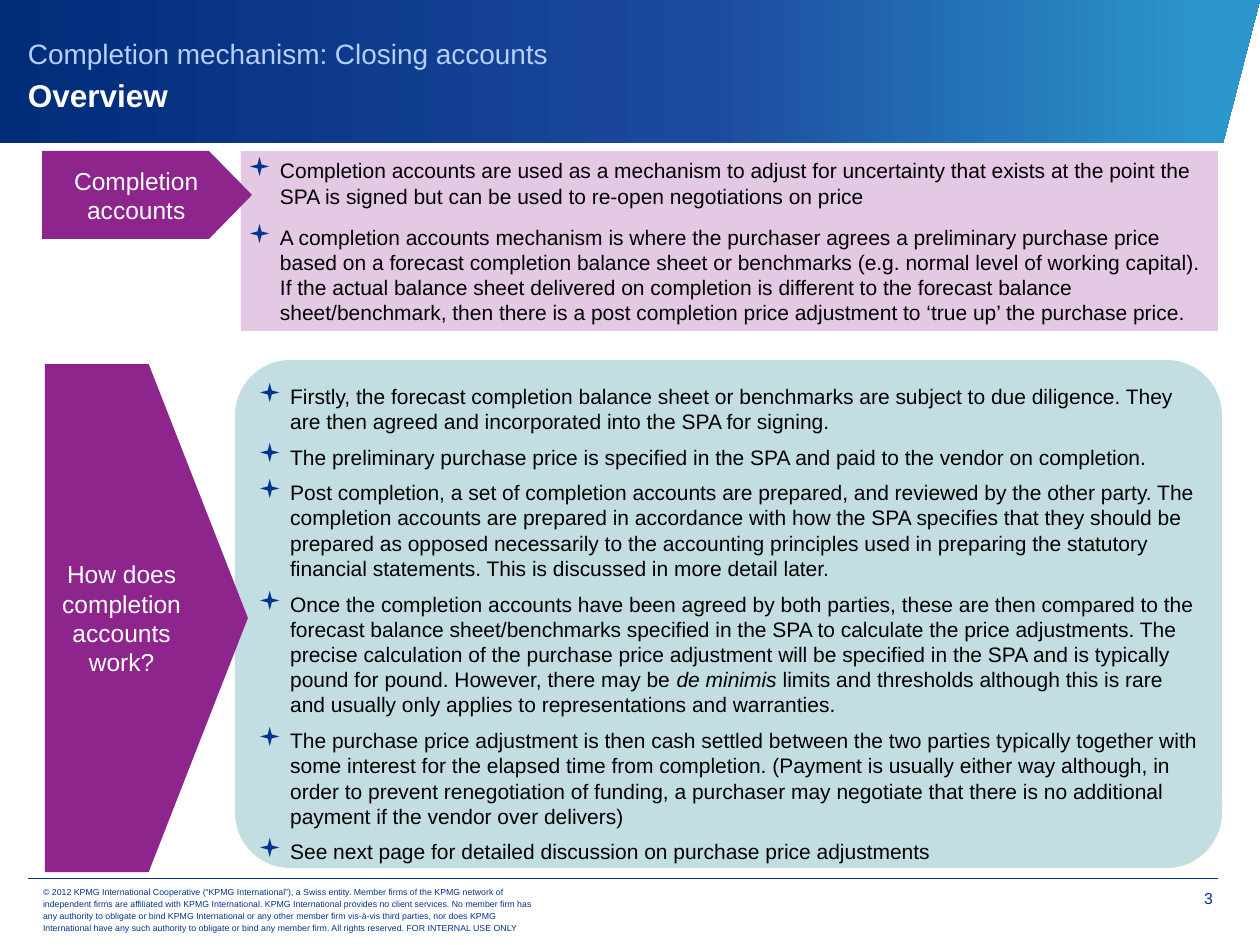
from lxml import etree
from pptx import Presentation
from pptx.dml.color import RGBColor
from pptx.enum.shapes import MSO_CONNECTOR, MSO_SHAPE
from pptx.enum.text import MSO_ANCHOR, MSO_AUTO_SIZE, PP_ALIGN
from pptx.oxml.ns import qn
from pptx.util import Pt

PX = 914400 / 126
RECT, ROUND, ARROW = MSO_SHAPE.RECTANGLE, MSO_SHAPE.ROUNDED_RECTANGLE, MSO_SHAPE.PENTAGON
LEFT, CENTER, RIGHT = PP_ALIGN.LEFT, PP_ALIGN.CENTER, PP_ALIGN.RIGHT
TOP, MIDDLE = MSO_ANCHOR.TOP, MSO_ANCHOR.MIDDLE
NAVY, PURPLE, PINK, TEAL = "00338D", "8E258D", "E3C9E3", "C3DEE2"
WHITE, BLACK, SKY = "FFFFFF", "000000", "B5D0FF"
BAND_STOPS = [(0, "002C7A"), (56, "1C4A9E"), (96, "2B96CB")]

ACCOUNTS = [
    "Completion accounts are used as a mechanism to adjust for uncertainty that exists at the point the SPA is signed but can be used to re-open negotiations on price",
    "A completion accounts mechanism is where the purchaser agrees a preliminary purchase price based on a forecast completion balance sheet or benchmarks (e.g. normal level of working capital). If the actual balance sheet delivered on completion is different to the forecast balance sheet/benchmark, then there is a post completion price adjustment to ‘true up’ the purchase price.",
]
STEPS = [
    "Firstly, the forecast completion balance sheet or benchmarks are subject to due diligence. They are then agreed and incorporated into the SPA for signing.",
    "The preliminary purchase price is specified in the SPA and paid to the vendor on completion.",
    "Post completion, a set of completion accounts are prepared, and reviewed by the other party. The completion accounts are prepared in accordance with how the SPA specifies that they should be prepared as opposed necessarily to the accounting principles used in preparing the statutory financial statements. This is discussed in more detail later.",
    [("Once the completion accounts have been agreed by both parties, these are then compared to the forecast balance sheet/benchmarks specified in the SPA to calculate the price adjustments. The precise calculation of the purchase price adjustment will be specified in the SPA and is typically pound for pound. However, there may be ", {}),
     ("de minimis", {"italic": True}),
     (" limits and thresholds although this is rare and usually only applies to representations and warranties.", {})],
    "The purchase price adjustment is then cash settled between the two parties typically together with some interest for the elapsed time from completion. (Payment is usually either way although, in order to prevent renegotiation of funding, a purchaser may negotiate that there is no additional payment if the vendor over delivers)",
    "See next page for detailed discussion on purchase price adjustments",
]
COPYRIGHT = "© 2012 KPMG International Cooperative (“KPMG International”), a Swiss entity. Member firms of the KPMG network of independent firms are affiliated with KPMG International. KPMG International provides no client services. No member firm has any authority to obligate or bind KPMG International or any other member firm vis-à-vis third parties, nor does KPMG International have any such authority to obligate or bind any member firm. All rights reserved. FOR INTERNAL USE ONLY"


def px(*values):
    return [round(v * PX) for v in values]


def rgb(color):
    return RGBColor.from_string(color)


def style_run(r, size=12, color=BLACK, bold=False, italic=False):
    r.font.name = "Arial"
    r.font.size = Pt(size)
    r.font.color.rgb = rgb(color)
    r.font.bold = bold
    r.font.italic = italic


def add_bullet(p):
    pPr = p._p.get_or_add_pPr()
    indent = px(32)[0]
    pPr.set("marL", str(indent))
    pPr.set("indent", str(-indent))
    etree.SubElement(etree.SubElement(pPr, qn("a:buClr")), qn("a:srgbClr"), val=NAVY)
    etree.SubElement(pPr, qn("a:buSzPct"), val="125000")
    etree.SubElement(pPr, qn("a:buFont"), typeface="Wingdings")
    etree.SubElement(pPr, qn("a:buChar"), char="▪")


def write(tf, paragraphs, align=LEFT, anchor=TOP, inset=(7, 7, 7, 7), spacing=1.0,
          before=0, after=0, bullet=False, **font):
    tf.word_wrap = True
    tf.auto_size = MSO_AUTO_SIZE.NONE
    tf.vertical_anchor = anchor
    tf.margin_left, tf.margin_top, tf.margin_right, tf.margin_bottom = px(*inset)
    for i, content in enumerate(paragraphs):
        p = tf.add_paragraph() if i else tf.paragraphs[0]
        p.alignment = align
        p.line_spacing = spacing
        p.space_before = Pt(before if i else 0)
        p.space_after = Pt(after)
        if bullet:
            add_bullet(p)
        for text, extra in [(content, {})] if isinstance(content, str) else content:
            if text == "\n":
                p.add_line_break()
                continue
            r = p.add_run()
            r.text = text
            style_run(r, **{**font, **extra})


def add_block(s, kind, box, fill, adj=None):
    sp = s.shapes.add_shape(kind, *px(*box))
    sp.shadow.inherit = False
    sp.fill.solid()
    sp.fill.fore_color.rgb = rgb(fill)
    sp.line.fill.background()
    if adj is not None:
        sp.adjustments[0] = adj
    return sp


def add_text(s, box, text, **fmt):
    write(s.shapes.add_textbox(*px(*box)).text_frame, [text], **fmt)


def add_header(s, x, y, w, h):
    fb = s.shapes.build_freeform(x, y, scale=PX)
    fb.add_line_segments([(x + w, y), (x + w - 37, y + h), (x, y + h)])
    band = fb.convert_to_shape()
    band.shadow.inherit = False
    band.line.fill.background()
    band.fill.gradient()
    band.fill.gradient_angle = 0
    stops = band._element.spPr.find(".//" + qn("a:gsLst"))
    for gs in list(stops):
        stops.remove(gs)
    for pos, color in BAND_STOPS:
        gs = etree.SubElement(stops, qn("a:gs"), pos=str(pos * 1000))
        etree.SubElement(gs, qn("a:srgbClr"), val=color)

    title = s.shapes.title
    title.left, title.top, title.width, title.height = px(x + 28, y + 15, 1178, 110)
    title._element.addprevious(band._element)
    write(title.text_frame, [[
        ("Completion mechanism: Closing accounts", {"size": 16, "color": SKY}),
        ("\n", {}),
        ("Overview", {"size": 18, "color": WHITE, "bold": True}),
    ]], anchor=MIDDLE, inset=(0, 0, 0, 0), spacing=Pt(25))


def add_list(s, kind, box, fill, items, after, adj=None):
    sp = add_block(s, kind, box, fill, adj)
    write(sp.text_frame, items, bullet=True, before=3, after=after)


def add_label(s, box, text):
    sp = add_block(s, ARROW, box, PURPLE, 0.489)
    write(sp.text_frame, [text], align=CENTER, anchor=MIDDLE, size=14, color=WHITE)


def add_footer(s, x, y, w):
    rule = s.shapes.add_connector(MSO_CONNECTOR.STRAIGHT, *px(x, y, x + w, y))
    rule.line.color.rgb = rgb(NAVY)
    rule.line.width = Pt(0.25)
    etree.SubElement(rule._element.spPr, qn("a:effectLst"))
    add_text(s, (x + 2, y + 9, 523, 44), COPYRIGHT, anchor=MIDDLE,
             inset=(13, 6, 13, 6), spacing=Pt(7), size=5, color=NAVY)
    add_text(s, (x + 1116, y + 1, 69, 39), "3", align=RIGHT,
             inset=(10, 10, 0, 0), size=9, color=NAVY)


def main():
    prs = Presentation()
    prs.slide_width, prs.slide_height = px(1260, 945)
    s = prs.slides.add_slide(prs.slide_layouts[5])
    add_header(s, 0, 0, 1260, 143)
    add_list(s, RECT, (241, 151, 977, 180), PINK, ACCOUNTS, after=6)
    add_label(s, (42, 151, 210, 88), "Completion accounts")
    add_list(s, ROUND, (235, 360, 987, 508), TEAL, STEPS, after=3, adj=0.109)
    add_label(s, (45, 364, 203, 508), "How does completion accounts work?")
    add_footer(s, 28, 878, 1190)
    prs.save("out.pptx")


if __name__ == "__main__":
    main()
